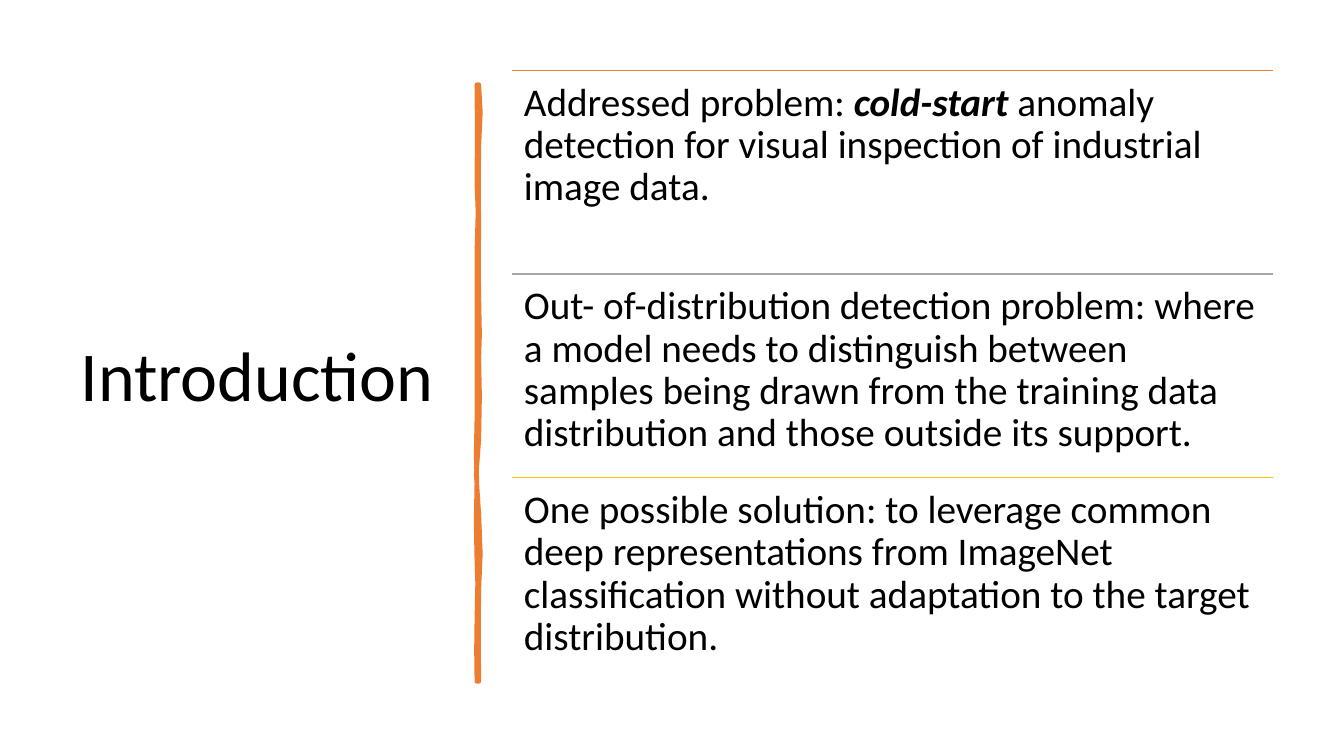
from dataclasses import dataclass

from lxml import etree
from pptx import Presentation
from pptx.dml.color import RGBColor
from pptx.enum.shapes import MSO_CONNECTOR
from pptx.enum.text import MSO_ANCHOR
from pptx.oxml.ns import qn
from pptx.util import Inches, Pt

STRAIGHT = MSO_CONNECTOR.STRAIGHT
MIDDLE = MSO_ANCHOR.MIDDLE
TOP = MSO_ANCHOR.TOP


@dataclass(frozen=True)
class Theme:
    font: str = "Calibri"
    title_size: float = 50
    body_size: float = 28
    line_spacing: float = 0.9
    text: RGBColor = RGBColor(0x00, 0x00, 0x00)
    orange: RGBColor = RGBColor(0xED, 0x7D, 0x31)
    gray: RGBColor = RGBColor(0xA5, 0xA5, 0xA5)
    gold: RGBColor = RGBColor(0xFF, 0xC0, 0x00)
    brush_width: float = 3.25
    rule_width: float = 1


THEME = Theme()
TITLE_INSET = 0.1
PASSAGE_INSET = 0.3 * THEME.body_size / 72

# Each passage is a list of (text, emphasised) runs under a coloured rule.
PASSAGES = [
    (THEME.orange, [
        ("Addressed problem: ", False),
        ("cold-start", True),
        (" anomaly detection for visual inspection of industrial image data.", False),
    ]),
    (THEME.gray, [
        ("Out- of-distribution detection problem: where a model needs to distinguish "
         "between samples being drawn from the training data distribution and those "
         "outside its support.", False),
    ]),
    (THEME.gold, [
        ("One possible solution: to leverage common deep representations from ImageNet "
         "classification without adaptation to the target distribution.", False),
    ]),
]

# Bezier curves (control, control, end) as x, y offsets from the brush box.
BRUSH_START = (0.03, 0)
BRUSH_EDGE = [
    (0.05, 0.18, 0.05, 0.35, 0.03, 0.62), (0.01, 0.89, 0.04, 1.11, 0.03, 1.42),
    (0.02, 1.73, 0.03, 1.78, 0.03, 2.1), (0.03, 2.41, 0.05, 2.58, 0.03, 2.72),
    (0.01, 2.86, 0.07, 3.3, 0.03, 3.52), (-0.01, 3.73, 0, 4, 0.03, 4.26),
    (0.05, 4.52, 0.05, 4.8, 0.03, 5), (0.01, 5.19, 0.04, 5.66, 0.03, 5.92),
    (0.02, 5.92, 0.01, 5.92, 0.01, 5.92), (0.02, 5.62, -0.01, 5.6, 0.01, 5.29),
    (0.02, 4.99, 0.02, 4.86, 0.01, 4.73), (0, 4.6, 0, 4.11, 0.01, 3.93),
    (0.01, 3.75, -0.01, 3.61, 0.01, 3.31), (0.02, 3.02, 0, 2.89, 0.01, 2.51),
    (0.02, 2.14, 0, 1.97, 0.01, 1.66), (0.02, 1.34, 0.03, 1.16, 0.01, 0.97),
    (-0.02, 0.79, 0.05, 0.2, 0.01, 0),
]


def add_text(shapes, left, top, width, height, runs, size, inset, anchor):
    text_box = shapes.add_textbox(
        Inches(left), Inches(top), Inches(width), Inches(height))
    frame = text_box.text_frame
    frame.word_wrap = True
    frame.vertical_anchor = anchor
    frame.margin_left = frame.margin_right = Inches(inset)
    frame.margin_top = frame.margin_bottom = Inches(inset)
    paragraph = frame.paragraphs[0]
    paragraph.line_spacing = THEME.line_spacing
    paragraph.font.name = THEME.font
    paragraph.font.size = Pt(size)
    paragraph.font.color.rgb = THEME.text
    for text, emphasised in runs:
        run = paragraph.add_run()
        run.text = text
        if emphasised:
            run.font.bold = run.font.italic = True


def add_rule(shapes, left, top, width, color):
    rule = shapes.add_connector(
        STRAIGHT, Inches(left), Inches(top), Inches(left + width), Inches(top))
    rule.line.color.rgb = color
    rule.line.width = Pt(THEME.rule_width)
    etree.SubElement(rule._element.spPr, qn("a:effectLst"))


def sample_curves(start, curves):
    """Return the midpoint and the end of each consecutive Bezier curve."""
    points = [start]
    for x1, y1, x2, y2, x3, y3 in curves:
        x0, y0 = points[-1]
        middle = ((x0 + 3 * x1 + 3 * x2 + x3) / 8, (y0 + 3 * y1 + 3 * y2 + y3) / 8)
        points += [middle, (x3, y3)]
    return points


def add_brush_stroke(shapes, left, top):
    points = [(Inches(left + x), Inches(top + y))
              for x, y in sample_curves(BRUSH_START, BRUSH_EDGE)]
    builder = shapes.build_freeform(*points[0])
    builder.add_line_segments(points[1:], close=True)
    brush = builder.convert_to_shape()
    brush.shadow.inherit = False
    brush.fill.solid()
    brush.fill.fore_color.rgb = THEME.orange
    brush.line.color.rgb = THEME.orange
    brush.line.width = Pt(THEME.brush_width)
    etree.SubElement(brush.line._get_or_add_ln(), qn("a:round"))


def add_passages(shapes, left, top, width, height):
    group = shapes.add_group_shape()
    row_height = height / len(PASSAGES)
    for index, (color, runs) in enumerate(PASSAGES):
        row_top = top + index * row_height
        add_rule(group.shapes, left, row_top, width, color)
        add_text(group.shapes, left, row_top, width, row_height, runs,
                 THEME.body_size, PASSAGE_INSET, TOP)


def main():
    presentation = Presentation()
    presentation.slide_width = Inches(13.33)
    presentation.slide_height = Inches(7.5)
    slide = presentation.slides.add_slide(presentation.slide_layouts[6])
    add_text(slide.shapes, 0.7, 0.7, 3.74, 6.11, [("Introduction", False)],
             THEME.title_size, TITLE_INSET, MIDDLE)
    add_brush_stroke(slide.shapes, 4.72, 0.84)
    add_passages(slide.shapes, 5.08, 0.7, 7.55, 6.06)
    presentation.save("out.pptx")


if __name__ == "__main__":
    main()
